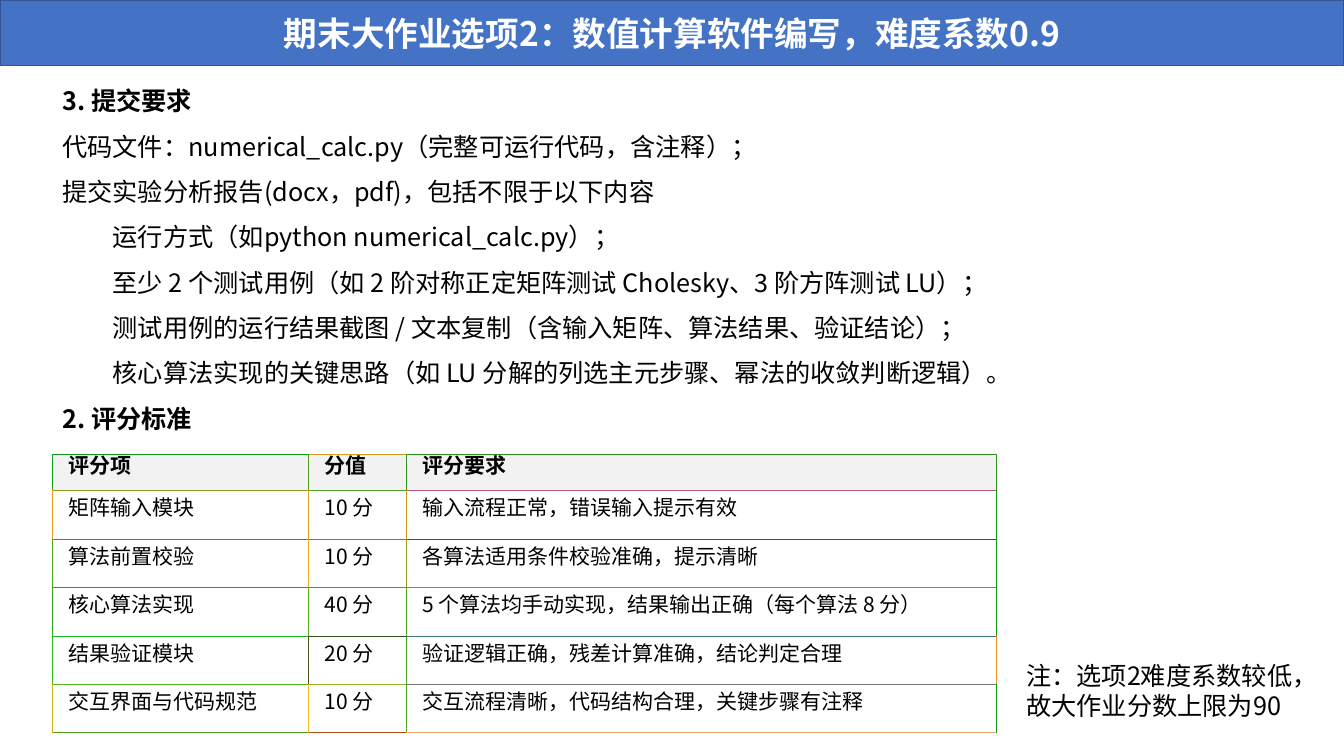
from pptx import Presentation
from pptx.dml.color import RGBColor
from pptx.enum.text import MSO_ANCHOR as Anchor, MSO_AUTO_SIZE as AutoSize, PP_ALIGN as Align
from pptx.oxml.ns import qn
from pptx.util import Inches, Pt
from lxml.etree import SubElement

FONT = "Noto Sans CJK SC"
BLACK = RGBColor(0x00, 0x00, 0x00)
WHITE = RGBColor(0xFF, 0xFF, 0xFF)
BLUE = RGBColor(0x44, 0x72, 0xC4)
DARK_BLUE = RGBColor(0x32, 0x54, 0x91)
GREY = RGBColor(0xF2, 0xF2, 0xF2)


def add_text(p, text, size, bold=False, color=BLACK):
    r = p.add_run()
    r.text = text
    for name, value in {"size": Pt(size), "bold": bold, "name": FONT}.items():
        setattr(r.font, name, value)
    r.font.color.rgb = color
    SubElement(r.font._element, qn("a:ea"), typeface=FONT)


def add_border(cell, side, color):
    ln = SubElement(cell._tc.get_or_add_tcPr(), qn(f"a:ln{side}"), w=str(Pt(0.5)))
    fill = SubElement(ln, qn("a:solidFill"))
    SubElement(fill, qn("a:srgbClr"), val=color)


prs = Presentation()
prs.slide_width, prs.slide_height = Inches(13.33), Inches(7.5)
s = prs.slides.add_slide(prs.slide_layouts[5])

# Title bar
title = s.shapes.title
bar = {"left": 0, "top": 0, "width": prs.slide_width, "height": Inches(0.65)}
for name, value in bar.items():
    setattr(title, name, value)
title.fill.solid()
title.fill.fore_color.rgb = BLUE
title.line.color.rgb = DARK_BLUE
title.line.width = Pt(1)
tf = title.text_frame
tf.auto_size = AutoSize.NONE
tf.vertical_anchor = Anchor.MIDDLE
tf.paragraphs[0].alignment = Align.CENTER
add_text(tf.paragraphs[0], "期末大作业选项2：数值计算软件编写，难度系数0.9", 24, True, WHITE)

# Submission requirements: text, level, bold
requirements = [
    ("3. 提交要求", 0, True),
    ("代码文件：numerical_calc.py（完整可运行代码，含注释）；", 0, False),
    ("提交实验分析报告(docx，pdf)，包括不限于以下内容", 0, False),
    ("运行方式（如python numerical_calc.py）；", 1, False),
    ("至少 2 个测试用例（如 2 阶对称正定矩阵测试 Cholesky、3 阶方阵测试 LU）；", 1, False),
    ("测试用例的运行结果截图 / 文本复制（含输入矩阵、算法结果、验证结论）；", 1, False),
    ("核心算法实现的关键思路（如 LU 分解的列选主元步骤、幂法的收敛判断逻辑）。", 1, False),
    ("2. 评分标准", 0, True),
]
tf = s.shapes.add_textbox(Inches(0.52), Inches(0.65), Inches(12.29), Inches(4.59)).text_frame
tf.word_wrap = True
tf.auto_size = AutoSize.SHAPE_TO_FIT_TEXT
for i, (text, level, bold) in enumerate(requirements):
    p = tf.add_paragraph() if i else tf.paragraphs[0]
    p.level = level
    p.line_spacing = 1.5
    p._p.get_or_add_pPr().set("marL", str(Inches(0.5 * level)))
    add_text(p, text, 18, bold)

# Grading table
grading = [
    ("评分项", "分值", "评分要求"),
    ("矩阵输入模块", "10 分", "输入流程正常，错误输入提示有效"),
    ("算法前置校验", "10 分", "各算法适用条件校验准确，提示清晰"),
    ("核心算法实现", "40 分", "5 个算法均手动实现，结果输出正确（每个算法 8 分）"),
    ("结果验证模块", "20 分", "验证逻辑正确，残差计算准确，结论判定合理"),
    ("交互界面与代码规范", "10 分", "交互流程清晰，代码结构合理，关键步骤有注释"),
]
col_widths = [2.54, 0.97, 5.85]
row_heights = [0.31] + [0.48] * 5

# Border colours: one row per horizontal rule, then one row of vertical rules per table row
h_rules = [
    ("10941C", "D0A01C", "30921C"),
    ("909A1C", "50A31C", "C0536F"),
    ("10A61C", "30A91C", "10616F"),
    ("10AB1C", "30AB1C", "B0726F"),
    ("10B81C", "304E1C", "40766F"),
    ("50B51C", "90B81C", "70796F"),
    ("509E1C", "B0491C", "F0A76F"),
]
v_rules = [
    ("10A01C", "509A1C", "30921C", "30921C"),
    ("F09C1C", "D0A11C", "D0981C", "10981C"),
    ("50A71C", "F0AE1C", "909A1C", "10981C"),
    ("30AB1C", "50B31C", "50A71C", "10981C"),
    ("30B81C", "504E1C", "50A71C", "F0931C"),
    ("D0B31C", "F0BC1C", "50A71C", "10981C"),
]
table = s.shapes.add_table(len(grading), len(col_widths), Inches(0.52), Inches(4.51),
                           Inches(sum(col_widths)), Inches(sum(row_heights))).table
for col, width in zip(table.columns, col_widths):
    col.width = Inches(width)
for row, height in zip(table.rows, row_heights):
    row.height = Inches(height)

cell_format = {
    "margin_left": Inches(0.16), "margin_right": Inches(0.16),
    "margin_top": Inches(0.11), "margin_bottom": Inches(0.11),
    "vertical_anchor": Anchor.MIDDLE,
}
for i, row in enumerate(grading):
    for j, text in enumerate(row):
        cell = table.cell(i, j)
        for name, value in cell_format.items():
            setattr(cell, name, value)
        borders = {"L": v_rules[i][j], "R": v_rules[i][j + 1],
                   "T": h_rules[i][j], "B": h_rules[i + 1][j]}
        for side, color in borders.items():
            add_border(cell, side, color)
        cell.fill.solid()
        cell.fill.fore_color.rgb = WHITE if i else GREY
        p = cell.text_frame.paragraphs[0]
        p.line_spacing = Pt(10)
        add_text(p, text, 15, i == 0)

# Note on the score cap
tf = s.shapes.add_textbox(Inches(10.08), Inches(6.5), Inches(3.04), Inches(0.71)).text_frame
tf.word_wrap = True
tf.auto_size = AutoSize.SHAPE_TO_FIT_TEXT
add_text(tf.paragraphs[0], "注：选项2难度系数较低，故大作业分数上限为90", 18)

prs.save("out.pptx")
